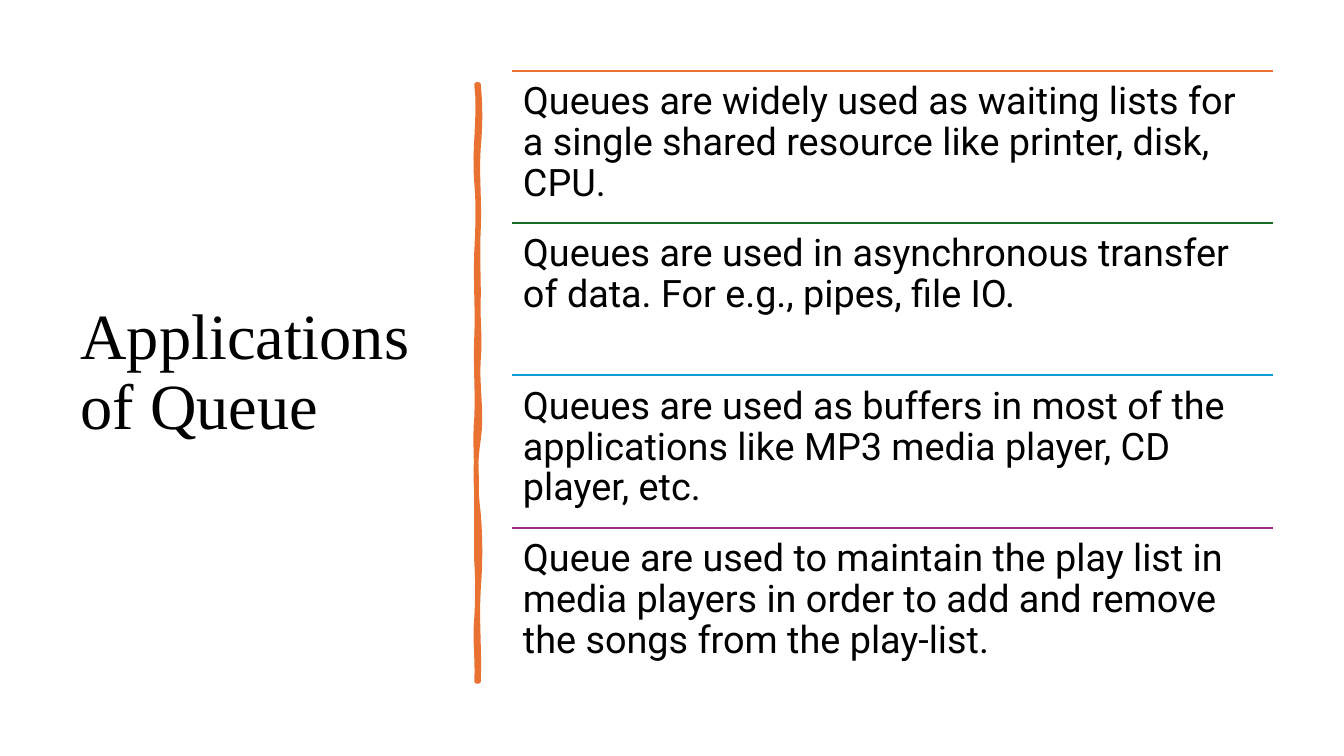
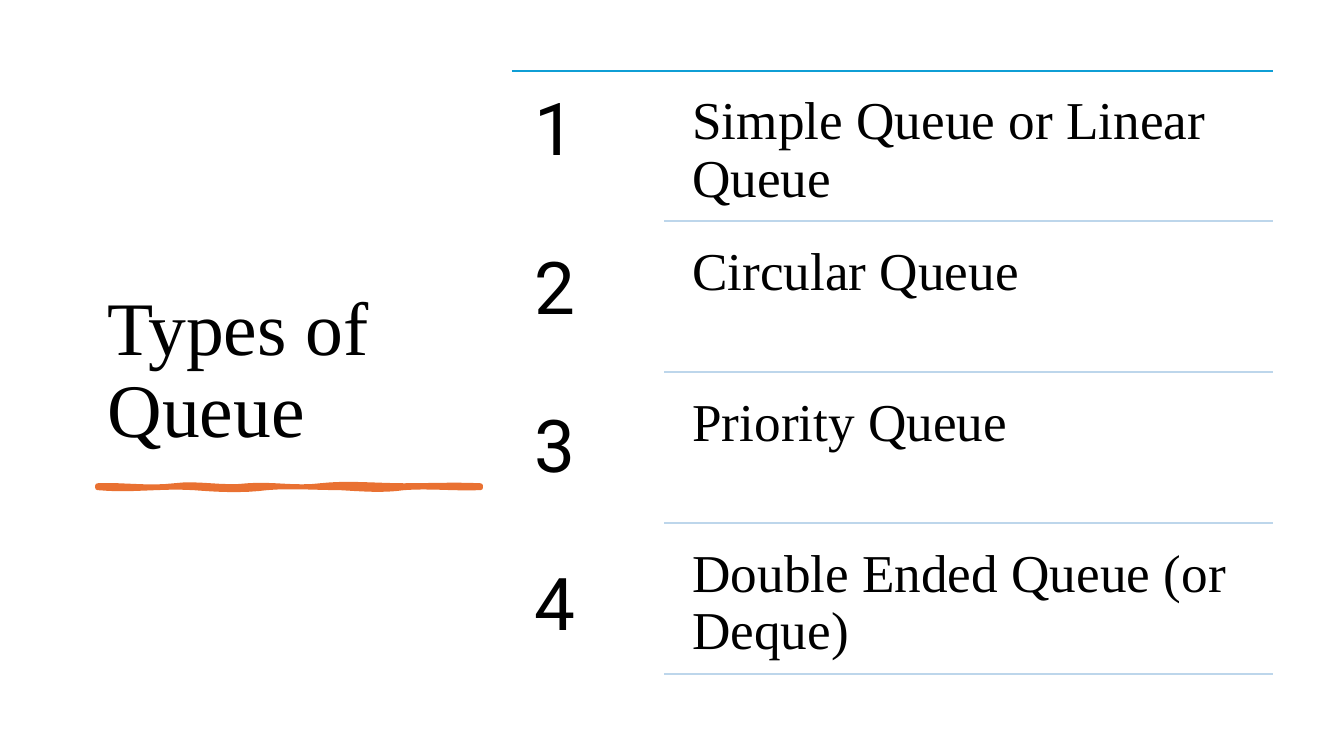
from lxml import etree
from pptx import Presentation
from pptx import util as u
from pptx.dml.color import RGBColor
from pptx.enum import shapes, text
from pptx.oxml import ns

Cm = u.Cm

# Content
APPLICATIONS_TITLE = "Applications of Queue"
APPLICATIONS = [
    ("Queues are widely used as waiting lists for a single shared resource "
     "like printer, disk, CPU.", "orange"),
    ("Queues are used in asynchronous transfer of data. For e.g., pipes, "
     "file IO.", "green"),
    ("Queues are used as buffers in most of the applications like MP3 media "
     "player, CD player, etc.", "blue"),
    ("Queue are used to maintain the play list in media players in order to "
     "add and remove the songs from the play-list.", "purple"),
]
TYPES_TITLE = "Types of Queue"
TYPES = ["Simple Queue or Linear Queue", "Circular Queue", "Priority Queue",
         "Double Ended Queue (or Deque)"]

# Shared style; all lengths are in centimetres
COLOURS = {"ink": "000000", "orange": "E97132", "green": "196B24",
           "blue": "0F9ED5", "purple": "A02B93", "pale": "BDD6EB"}
SERIF, SANS = "Times New Roman", "Roboto"
LIST_LEFT, LIST_TOP, LIST_RIGHT = 12.9, 1.78, 32.08
BRUSH_WIDTH = 0.05

# Brush edges: sideways pull at each third of a stretch, then where it ends
TALL_BRUSH = (
    [(.05, .05, 1.57), (-.05, .03, 3.61), (-.03, 0, 5.33), (-.03, .05, 6.91),
     (-.05, .1, 8.94), (-.1, -.08, 10.82), (.05, .05, 12.7), (-.05, .03, 15.04)],
    [(.1, -.08, 2.46), (.05, .03, 4.22), (-.03, .03, 6.38), (-.03, .03, 8.41),
     (-.05, 0, 9.98), (0, 0, 12.01), (.03, .03, 13.44), (-.05, .03, 15.04)],
)
WIDE_BRUSH = (
    [(-.03, .08, 1.93), (-.08, .08, 3.78), (-.05, .08, 5.61),
     (-.08, 0, 7.72), (0, -.03, 9.65)],
    [(.08, -.05, 2.41), (.05, .08, 4.27), (-.05, 0, 6.1),
     (.03, .08, 7.72), (-.05, .03, 9.65)],
)


def colour(name):
    return RGBColor.from_string(COLOURS[name])


def add_text(slide, box, lines, font, size, inset=0.25,
             anchor=text.MSO_ANCHOR.TOP, gap=0):
    frame = slide.shapes.add_textbox(*map(Cm, box)).text_frame
    frame.word_wrap = True
    frame.vertical_anchor = anchor
    frame.margin_left = frame.margin_right = Cm(inset)
    frame.margin_top = frame.margin_bottom = Cm(inset)
    frame.text = "\n".join(lines)
    for paragraph in frame.paragraphs:
        paragraph.line_spacing = 0.9
        paragraph.space_after = u.Pt(gap)
        for run in paragraph.runs:
            run.font.name = font
            run.font.size = u.Pt(size)
            run.font.color.rgb = colour("ink")


def add_title(slide, box, title, size, anchor):
    add_text(slide, box, [title], SERIF, size, 0.25, anchor)


def add_rule(slide, left, top, shade):
    rule = slide.shapes.add_connector(
        shapes.MSO_CONNECTOR.STRAIGHT,
        Cm(left), Cm(top), Cm(LIST_RIGHT), Cm(top))
    rule.line.color.rgb = colour(shade)
    rule.line.width = u.Pt(1.5)
    etree.SubElement(rule._element.spPr, ns.qn("a:effectLst"))


def edge_points(edge, base, steps=8):
    """Sample an edge as (distance along, offset across) pairs."""
    points, start = [(0, base)], 0
    for pull_1, pull_2, end in edge:
        for step in range(1, steps + 1):
            t = step / steps
            bulge = 3 * t * (1 - t) * ((1 - t) * pull_1 + t * pull_2)
            points.append((start + t * (end - start), base + bulge))
        start = end
    return points


def add_brush(slide, left, top, edges, upright, weight):
    near, far = edges
    outline = edge_points(near, BRUSH_WIDTH if upright else 0)
    outline += reversed(edge_points(far, 0 if upright else BRUSH_WIDTH))
    if upright:
        outline = [(across, along) for along, across in outline]
    points = [(Cm(left + x), Cm(top + y)) for x, y in outline]
    builder = slide.shapes.build_freeform(*points[0])
    builder.add_line_segments(points[1:], close=True)
    brush = builder.convert_to_shape()
    brush.shadow.inherit = False
    brush.fill.solid()
    brush.fill.fore_color.rgb = colour("orange")
    brush.line.color.rgb = colour("orange")
    brush.line.width = u.Pt(weight)
    etree.SubElement(brush.line._get_or_add_ln(), ns.qn("a:round"))


def build_applications(slide):
    add_title(slide, (1.78, 1.65, 9.5, 15.52), APPLICATIONS_TITLE, 46,
              text.MSO_ANCHOR.MIDDLE)
    add_brush(slide, 12.01, 2.13, TALL_BRUSH, True, 3.25)
    pitch = 3.84
    for row, (use, shade) in enumerate(APPLICATIONS):
        top = LIST_TOP + row * pitch
        add_rule(slide, LIST_LEFT, top, shade)
        add_text(slide, (LIST_LEFT, top, LIST_RIGHT - LIST_LEFT, pitch),
                 [use], SANS, 27, 0.28)


def build_types(slide):
    add_title(slide, (2.46, 1.78, 10.36, 9.9), TYPES_TITLE, 54,
              text.MSO_ANCHOR.BOTTOM)
    add_brush(slide, 2.46, 12.24, WIDE_BRUSH, False, 3.5)
    add_rule(slide, LIST_LEFT, LIST_TOP, "blue")

    # Numbers share one column, spaced by paragraph
    numbers = [str(number) for number in range(1, len(TYPES) + 1)]
    add_text(slide, (LIST_LEFT, LIST_TOP, 3.84, 15.37), numbers, SANS, 52,
             0.56, gap=57)

    # Names, each with a rule below
    pitch, name_left, rule_left, drop = 3.8, 17.04, 16.74, 0.18
    for row, name in enumerate(TYPES):
        top = LIST_TOP + drop + row * pitch
        add_text(slide, (name_left, top, LIST_RIGHT - name_left, 3.61),
                 [name], SERIF, 38, 0.41)
        add_rule(slide, rule_left, top + 3.62, "pale")


def main():
    deck = Presentation()
    deck.slide_width, deck.slide_height = Cm(33.87), Cm(19.05)
    for build in (build_applications, build_types):
        build(deck.slides.add_slide(deck.slide_layouts[6]))
    deck.save("out.pptx")


if __name__ == "__main__":
    main()
